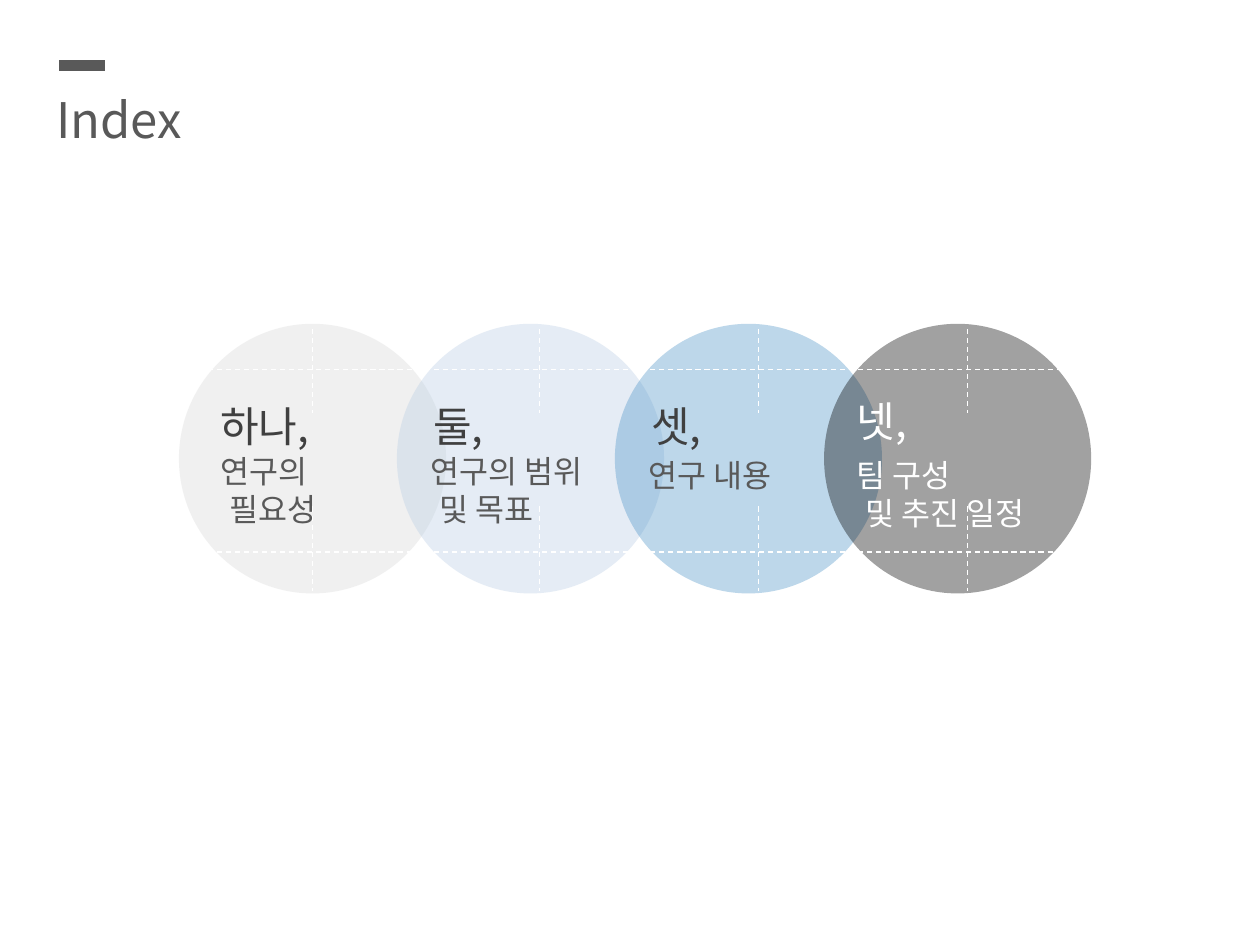
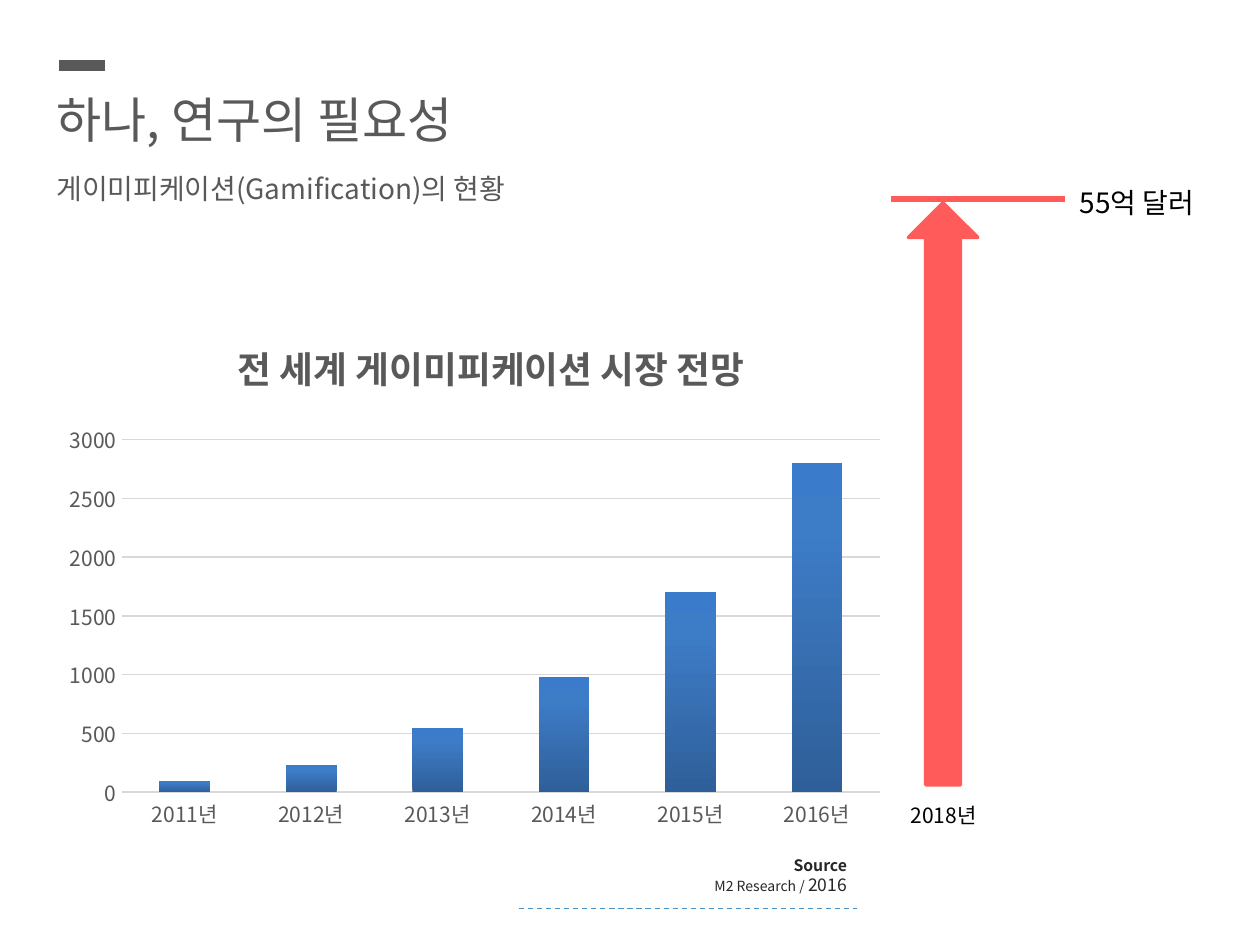
from copy import deepcopy
from dataclasses import dataclass

from lxml import etree
from pptx import Presentation
from pptx.chart.data import CategoryChartData
from pptx.dml.color import RGBColor
from pptx.enum.chart import XL_CHART_TYPE, XL_TICK_MARK
from pptx.enum.dml import MSO_LINE
from pptx.enum.shapes import MSO_CONNECTOR, MSO_SHAPE
from pptx.enum.text import MSO_AUTO_SIZE, PP_ALIGN
from pptx.oxml import parse_xml
from pptx.oxml.ns import nsdecls, qn
from pptx.util import Pt

COLUMNS = XL_CHART_TYPE.COLUMN_CLUSTERED
NO_TICKS = XL_TICK_MARK.NONE
DASH = MSO_LINE.DASH
STRAIGHT = MSO_CONNECTOR.STRAIGHT
OVAL = MSO_SHAPE.OVAL
UP_ARROW = MSO_SHAPE.UP_ARROW
FIT_TEXT = MSO_AUTO_SIZE.SHAPE_TO_FIT_TEXT
LEFT, RIGHT = PP_ALIGN.LEFT, PP_ALIGN.RIGHT

EMU_PER_PX = 9144
FONT = "Noto Sans CJK KR"
COLORS = {
    "title": "595959",
    "heading": "404040",
    "source": "262626",
    "black": "000000",
    "white": "FFFFFF",
    "pale": "D9D9D9",
    "ice": "B9CDE5",
    "blue": "4C93C7",
    "red": "FF5B5B",
    "bar_low": "2F5F99",
    "bar_mid": "3D7CC7",
    "bar_top": "3A7CCB",
}
CIRCLE_TOP, CIRCLE_WIDTH, CIRCLE_HEIGHT, CIRCLE_OPACITY = 257, 212, 214, 37
GUIDE_ROWS = (293, 438)
GUIDE_COLUMN_TOPS = (261, 402)
GUIDE_COLUMN_LENGTH = 67
SECOND_LINE_INDENT = 7
MARKET = {"2011년": 100, "2012년": 230, "2013년": 550,
          "2014년": 980, "2015년": 1700, "2016년": 2800}


@dataclass(frozen=True)
class Span:
    text: str
    size: int
    color: str
    bold: bool = False


@dataclass(frozen=True)
class Topic:
    left: int
    fill: str
    guide: int
    heading: str
    heading_at: tuple[int, int]
    lines: tuple[str, ...]
    lines_at: tuple[int, int]
    heading_color: str = "heading"
    lines_color: str = "title"


TOPICS = (
    Topic(142, "pale", 248, "하나,", (165, 313), ("연구의", "필요성"), (165, 354)),
    Topic(315, "ice", 428, "둘,", (334, 313), ("연구의 범위", "및 목표"), (332, 354)),
    Topic(488, "blue", 602, "셋,", (507, 313), ("연구 내용",), (505, 357)),
    Topic(654, "black", 768, "넷,", (670, 309), ("팀 구성", "및 추진 일정"),
          (670, 357), "white", "white"),
)


def px(length: int) -> int:
    return length * EMU_PER_PX


def rgb(color: str) -> RGBColor:
    return RGBColor.from_string(COLORS[color])


def set_font(font, size: int, color: str, bold: bool = False) -> None:
    font.name = FONT
    font.size = Pt(size)
    font.bold = bold
    font.color.rgb = rgb(color)
    latin = font._element.find(qn("a:latin"))
    latin.addnext(parse_xml(f'<a:ea {nsdecls("a")} typeface="{FONT}"/>'))


def add_text(slide, left: int, top: int, width: int, height: int,
             paragraphs: list[list[Span]], align=LEFT, indent: int = 0) -> None:
    box = slide.shapes.add_textbox(px(left), px(top), px(width), px(height))
    frame = box.text_frame
    frame.word_wrap = True
    frame.auto_size = FIT_TEXT
    for index, spans in enumerate(paragraphs):
        paragraph = frame.add_paragraph() if index else frame.paragraphs[0]
        paragraph.alignment = align
        if index and indent:
            paragraph._p.get_or_add_pPr().set("marL", str(px(indent)))
        for span in spans:
            run = paragraph.add_run()
            run.text = span.text
            set_font(run.font, span.size, span.color, span.bold)


def add_line(slide, start: tuple[int, int], end: tuple[int, int], color: str,
             weight: float, dashed: bool = False) -> None:
    line = slide.shapes.add_connector(STRAIGHT, *map(px, start + end))
    line.line.color.rgb = rgb(color)
    line.line.width = Pt(weight)
    if dashed:
        line.line.dash_style = DASH
    etree.SubElement(line._element.spPr, qn("a:effectLst"))


def add_solid(slide, preset, left: int, top: int, width: int, height: int, color: str):
    solid = slide.shapes.add_shape(preset, px(left), px(top), px(width), px(height))
    solid.shadow.inherit = False
    solid.fill.solid()
    solid.fill.fore_color.rgb = rgb(color)
    solid.line.fill.background()
    return solid


def add_titled_slide(deck, title: str, width: int):
    slide = deck.slides.add_slide(deck.slide_layouts[6])
    add_line(slide, (47, 52), (83, 52), "title", 6)
    add_text(slide, 35, 66, width, 57, [[Span(title, 28, "title")]])
    return slide


def add_circle(slide, topic: Topic) -> None:
    circle = add_solid(slide, OVAL, topic.left, CIRCLE_TOP, CIRCLE_WIDTH,
                       CIRCLE_HEIGHT, topic.fill)
    tint = circle._element.spPr.find(".//" + qn("a:srgbClr"))
    etree.SubElement(tint, qn("a:alpha"), val=str(CIRCLE_OPACITY * 1000))


def build_index(deck) -> None:
    slide = add_titled_slide(deck, "Index", 386)
    for topic in TOPICS:
        add_circle(slide, topic)
    for topic in TOPICS:
        add_text(slide, *topic.heading_at, 155, 50,
                 [[Span(topic.heading, 24, topic.heading_color)]])
        add_text(slide, *topic.lines_at, 195, 40 if len(topic.lines) == 1 else 71,
                 [[Span(line, 18, topic.lines_color)] for line in topic.lines],
                 indent=SECOND_LINE_INDENT)
        for top in GUIDE_COLUMN_TOPS:
            add_line(slide, (topic.guide, top), (topic.guide, top + GUIDE_COLUMN_LENGTH),
                     "white", 0.75, True)
    for row in GUIDE_ROWS:
        add_line(slide, (165, row), (889, row), "white", 0.75, True)


def set_layout(part, **places: float) -> None:
    old = part.find(qn("c:layout"))
    if old is not None:
        part.remove(old)
    layout = etree.Element(qn("c:layout"))
    manual = etree.SubElement(layout, qn("c:manualLayout"))
    if "w" in places:
        etree.SubElement(manual, qn("c:layoutTarget"), val="inner")
    for axis in ("x", "y"):
        etree.SubElement(manual, qn(f"c:{axis}Mode"), val="edge")
    for key, value in places.items():
        etree.SubElement(manual, qn(f"c:{key}"), val=str(value))
    text = part.find(qn("c:tx"))
    if text is None:
        part.insert(0, layout)
    else:
        text.addnext(layout)


def add_market_chart(slide) -> None:
    data = CategoryChartData()
    data.categories = list(MARKET)
    data.add_series("Series 1", list(MARKET.values()))
    chart = slide.shapes.add_chart(COLUMNS, px(43), px(254), px(669), px(412), data).chart
    set_font(chart.font, 10, "black")
    chart.has_legend = False
    chart.has_title = True
    heading = chart.chart_title.text_frame
    heading.text = "전 세계 게이미피케이션 시장 전망"
    set_font(heading.paragraphs[0].runs[0].font, 21, "title", True)
    chart.chart_title.include_in_layout = False
    set_layout(chart.chart_title._element, x=0.21, y=0.02)
    set_layout(chart._chartSpace.chart.plotArea, x=0.08, y=0.23, w=0.9, h=0.68)

    years, amounts = chart.category_axis, chart.value_axis
    for axis in (years, amounts):
        axis.major_tick_mark = axis.minor_tick_mark = NO_TICKS
        set_font(axis.tick_labels.font, 12, "title")
    years.format.line.color.rgb = rgb("pale")
    years.format.line.width = Pt(1)
    amounts.minimum_scale, amounts.maximum_scale, amounts.major_unit = 0, 3000, 500
    amounts.format.line.fill.background()
    grid = amounts.major_gridlines.format.line
    grid.color.rgb = rgb("pale")
    grid.width = Pt(0.75)

    plot = chart.plots[0]
    plot.gap_width, plot.overlap, plot.vary_by_categories = 150, -24, False
    bars = plot.series[0]
    fill = bars.format.fill
    fill.gradient()
    fill.gradient_angle = 90
    stops = bars._element.find(".//" + qn("a:gsLst"))
    stops.append(deepcopy(stops[-1]))
    shades = ((0, "bar_low"), (0.8, "bar_mid"), (1, "bar_top"))
    for stop, (position, color) in zip(fill.gradient_stops, shades):
        stop.position = position
        stop.color.rgb = rgb(color)


def build_need(deck) -> None:
    slide = add_titled_slide(deck, "하나, 연구의 필요성", 567)
    add_text(slide, 35, 131, 567, 37,
             [[Span("게이미피케이션(Gamification)의 현황", 16, "title")]])
    add_market_chart(slide)
    growth = add_solid(slide, UP_ARROW, 721, 161, 55, 462, "red")
    growth.line.color.rgb = rgb("red")
    growth.line.width = Pt(2)
    add_text(slide, 713, 632, 83, 30, [[Span("2018년", 12, "black")]])
    add_line(slide, (707, 158), (845, 158), "red", 3)
    add_text(slide, 847, 142, 122, 37, [[Span("55억 달러", 16, "black")]])
    add_text(slide, 378, 674, 304, 42,
             [[Span("Source", 9, "source", True)],
              [Span("M2 Research / ", 8, "source"), Span("2016", 10, "source")]], RIGHT)
    add_line(slide, (412, 721), (680, 721), "blue", 0.75, True)


def main() -> None:
    deck = Presentation()
    deck.slide_width, deck.slide_height = px(1000), px(750)
    build_index(deck)
    build_need(deck)
    deck.save("out.pptx")


if __name__ == "__main__":
    main()
